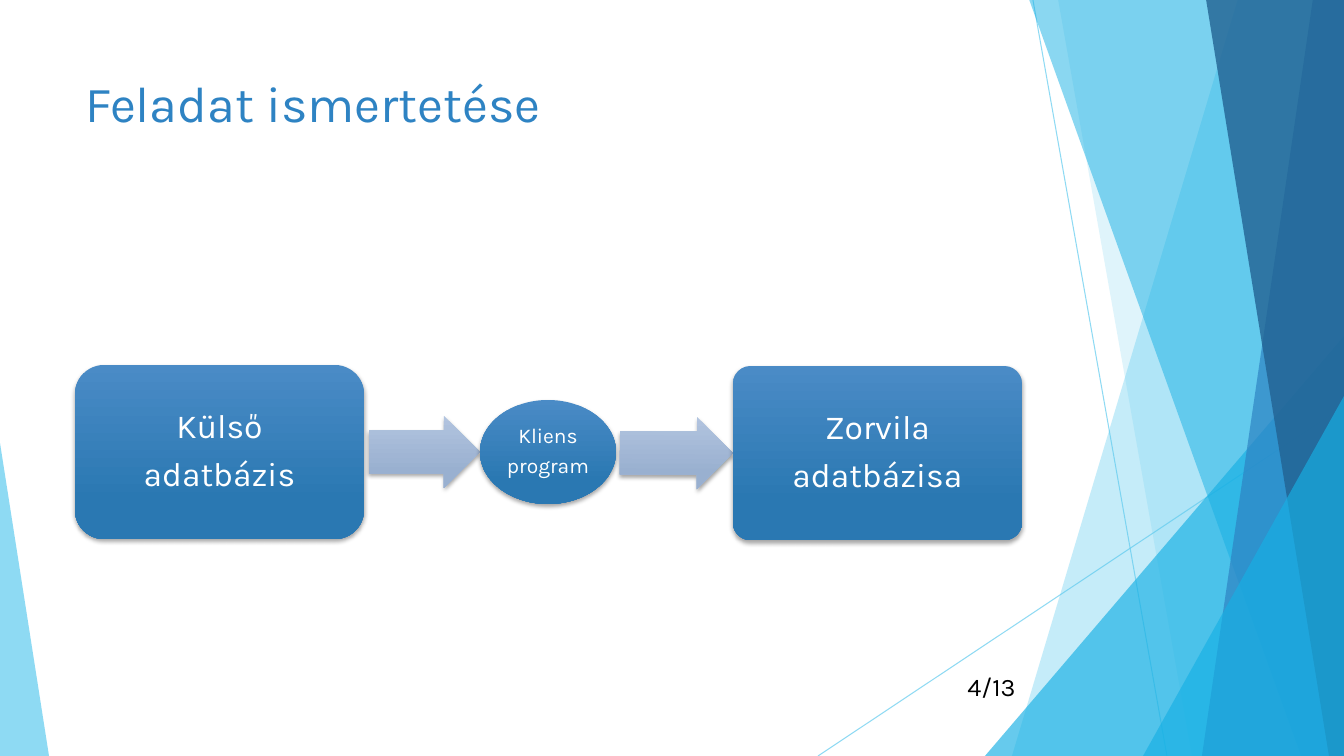
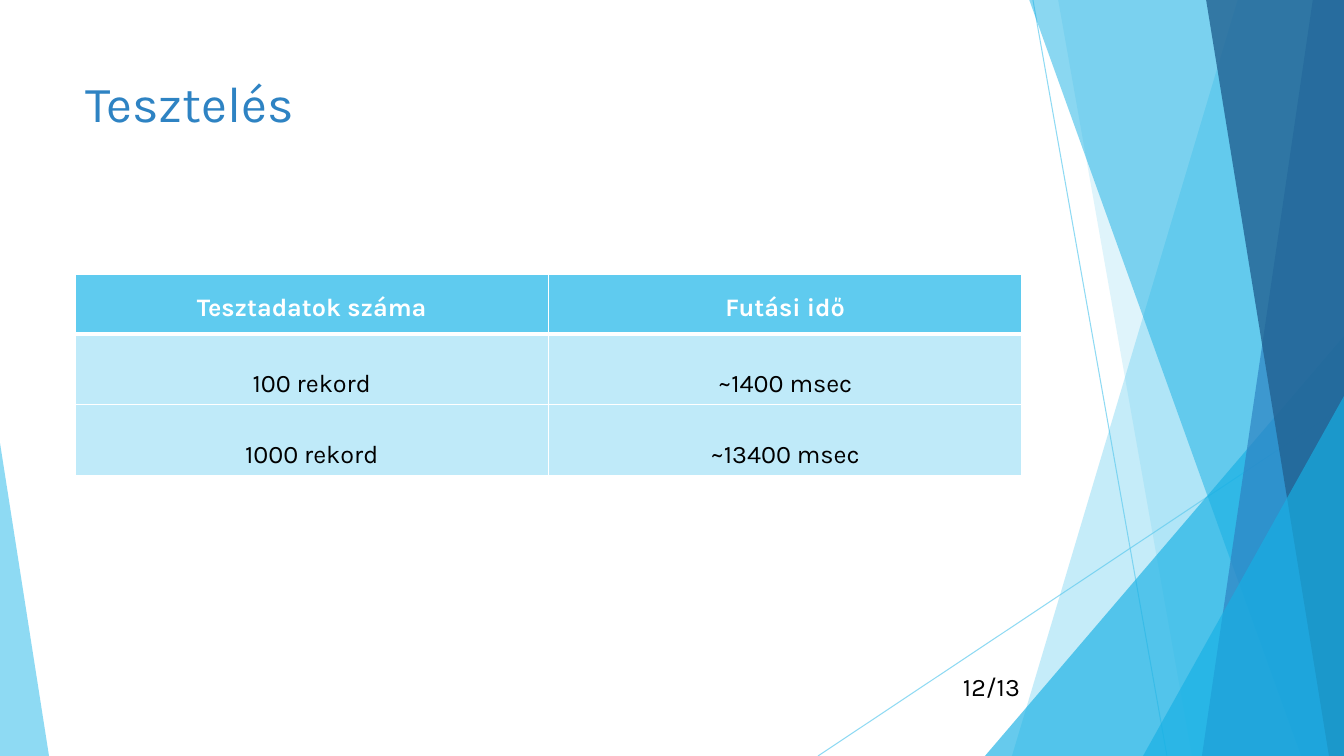
from dataclasses import dataclass

from lxml.etree import SubElement
from pptx import Presentation
from pptx.dml.color import RGBColor as Rgb
from pptx.enum.shapes import MSO_CONNECTOR as Connector, MSO_SHAPE as Preset
from pptx.enum.text import MSO_ANCHOR as Anchor, MSO_AUTO_SIZE as AutoSize, PP_ALIGN as Align
from pptx.oxml.ns import qn
from pptx.util import Emu, Pt

SCALE = 12192000 / 1344


def px(length):
    return Emu(round(length * SCALE))


@dataclass(frozen=True)
class Box:
    left: int
    top: int
    width: int
    height: int

    def inner(self, left, top, width, height):
        return Box(self.left + left, self.top + top, width, height)

    def emu(self):
        return [px(side) for side in (self.left, self.top, self.width, self.height)]


@dataclass(frozen=True)
class Theme:
    font: str = "Karla"
    white: str = "FFFFFF"
    black: str = "000000"
    sky: str = "5FCBEF"
    cyan: str = "17B0E4"
    blue: str = "2E83C3"
    navy: str = "226292"
    pale: str = "BFEAF9"
    node: tuple = ("4A8BC6", "2A78B2")
    arrow: tuple = ("B2C4DF", "99B0D0")
    title_size: int = 36
    node_size: int = 24
    text_size: int = 18
    small_size: int = 15


THEME = Theme()
PAGE = Box(0, 0, 1344, 756)
TITLE = Box(75, 67, 947, 145)
FLOW = Box(75, 365, 947, 175)
TABLE = Box(75, 274, 947, 196)
NUMBER = Box(947, 666, 89, 40)
PAGE_TOTAL = 13


def write(frame, lines, size, color, align=Align.CENTER, anchor=Anchor.MIDDLE,
          spacing=1.0, after=0, bold=False):
    frame.vertical_anchor = anchor
    for index, line in enumerate(lines):
        para = frame.add_paragraph() if index else frame.paragraphs[0]
        para.alignment = align
        para.line_spacing = spacing
        para.space_after = Pt(after)
        span = para.add_run()
        span.text = line
        span.font.name = THEME.font
        span.font.size = Pt(size)
        span.font.bold = bold
        span.font.color.rgb = Rgb.from_string(color)


def set_alpha(shape, percent):
    color = shape.element.spPr.find(".//" + qn("a:srgbClr"))
    SubElement(color, qn("a:alpha"), val=str(percent * 1000))


def paint_facet(shape, color, opacity):
    shape.shadow.inherit = False
    shape.line.fill.background()
    shape.fill.solid()
    shape.fill.fore_color.rgb = Rgb.from_string(color)
    set_alpha(shape, opacity)


def add_ray(group, box, start, end):
    ray = group.shapes.add_connector(
        Connector.STRAIGHT,
        px(box.left + start[0]), px(box.top + start[1]),
        px(box.left + end[0]), px(box.top + end[1]))
    ray.line.color.rgb = Rgb.from_string(THEME.sky)
    ray.line.width = Pt(0.75)
    set_alpha(ray, 70)
    SubElement(ray.element.spPr, qn("a:effectLst"))


def add_band(group, box, top_left, bottom_left, color, opacity):
    right, bottom = box.left + box.width, box.top + box.height
    outline = group.shapes.build_freeform(box.left + top_left, box.top - 1, scale=SCALE)
    outline.add_line_segments([
        (right, box.top - 1), (right, bottom), (box.left + bottom_left, bottom)])
    paint_facet(outline.convert_to_shape(), color, opacity)


def add_wedge(group, box, apex, color, opacity):
    wedge = group.shapes.add_shape(Preset.ISOSCELES_TRIANGLE, *box.emu())
    wedge.adjustments[0] = apex
    paint_facet(wedge, color, opacity)


def add_backdrop(page, box):
    group = page.shapes.add_group_shape()
    add_ray(group, box, (1033, 0), (1167, 756))
    add_ray(group, box, (1344, 406), (818, 756))
    add_band(group, box, 1238, 1012, THEME.sky, 36)
    add_band(group, box, 1058, 1192, THEME.sky, 20)
    add_wedge(group, box.inner(985, 336, 359, 420), 1, THEME.cyan, 66)
    add_band(group, box, 1029, 1301, THEME.cyan, 50)
    add_band(group, box, 1313, 1202, THEME.blue, 70)
    add_band(group, box, 1206, 1329, THEME.navy, 80)
    add_wedge(group, box.inner(1143, 396, 201, 360), 1, THEME.cyan, 66)
    add_wedge(group, box.inner(0, 443, 49, 313), 0, THEME.sky, 70)
    return group


def move_to_layout(group, layout):
    for number, label in enumerate(group.element.iter(qn("p:cNvPr")), 100):
        label.set("id", str(number))
    layout.shapes.element.insert(2, group.element)


def add_title(page, box, text):
    title = page.shapes.title
    title.left, title.top, title.width, title.height = box.emu()
    title.text_frame.auto_size = AutoSize.NONE
    write(title.text_frame, [text], THEME.title_size, THEME.blue, Align.LEFT, Anchor.TOP)


def add_page_number(page, box, number):
    frame = page.shapes.add_textbox(*box.emu()).text_frame
    frame.word_wrap = True
    write(frame, [f"{number}/{PAGE_TOTAL}"], THEME.text_size, THEME.black)


def add_glossy(page, box, preset, colors, adjustments=()):
    shape = page.shapes.add_shape(preset, *box.emu())
    for index, value in enumerate(adjustments):
        shape.adjustments[index] = value
    shape.line.fill.background()
    shape.fill.gradient()
    shape.fill.gradient_angle = 270
    for stop, color, position in zip(shape.fill.gradient_stops, colors, (0, 0.78)):
        stop.color.rgb = Rgb.from_string(color)
        stop.position = position
    shape.shadow.inherit = False
    effects = shape.element.spPr.find(qn("a:effectLst"))
    shadow = SubElement(effects, qn("a:outerShdw"), blurRad=str(Pt(3)), dist=str(Pt(2)),
                        dir="5400000", algn="ctr", rotWithShape="0")
    color = SubElement(shadow, qn("a:srgbClr"), val=THEME.black)
    SubElement(color, qn("a:alpha"), val="35000")
    return shape


def add_node(page, box, preset, lines, size, adjustments=()):
    node = add_glossy(page, box, preset, THEME.node, adjustments)
    node.text_frame.word_wrap = False
    write(node.text_frame, lines, size, THEME.white, spacing=0.9, after=size * 0.35)


def add_arrow(page, box, rotation=0):
    arrow = add_glossy(page, box, Preset.RIGHT_ARROW, THEME.arrow, (0.6, 0.5))
    arrow.rotation = rotation


def add_flow(page, box):
    add_node(page, box.inner(0, 0, 289, 174), Preset.ROUNDED_RECTANGLE,
             ["Külső", "adatbázis"], THEME.node_size)
    add_arrow(page, box.inner(294, 51, 111, 72))
    add_node(page, box.inner(405, 35, 136, 104), Preset.FLOWCHART_CONNECTOR,
             ["Kliens", "program"], THEME.small_size)
    add_arrow(page, box.inner(545, 52, 113, 72), 0.2)
    add_node(page, box.inner(658, 1, 289, 174), Preset.ROUNDED_RECTANGLE,
             ["Zorvila", "adatbázisa"], THEME.node_size, (0.1,))


def set_borders(cell, **widths):
    properties = cell._tc.get_or_add_tcPr()
    for index, (side, width) in enumerate(widths.items()):
        border = SubElement(properties, qn(f"a:ln{side}"), w=str(Pt(width)))
        fill = SubElement(border, qn("a:solidFill"))
        SubElement(fill, qn("a:srgbClr"), val=THEME.white)
        properties.insert(index, border)


def add_results(page, box, rows):
    table = page.shapes.add_table(len(rows), len(rows[0]), *box.emu()).table
    for column in table.columns:
        column.width = px(box.width / len(rows[0]))
    header_height = 60
    body_height = (box.height - header_height) / (len(rows) - 1)
    for row_index, row in enumerate(rows):
        header = row_index == 0
        table.rows[row_index].height = px(header_height if header else body_height)
        for column_index, text in enumerate(row):
            cell = table.cell(row_index, column_index)
            cell.fill.solid()
            cell.fill.fore_color.rgb = Rgb.from_string(THEME.sky if header else THEME.pale)
            set_borders(cell, L=1, R=1, T=3 if row_index == 1 else 1, B=3 if header else 1)
            anchor = Anchor.TOP if header else Anchor.MIDDLE
            write(cell.text_frame, [text], THEME.text_size,
                  THEME.white if header else THEME.black, anchor=anchor,
                  spacing=1.5 if header else 2.0, bold=header)
            cell.vertical_anchor = anchor


def add_page(deck, layout, title, number):
    page = deck.slides.add_slide(layout)
    add_title(page, TITLE, title)
    add_page_number(page, NUMBER, number)
    return page


def main():
    deck = Presentation()
    deck.slide_width, deck.slide_height = px(PAGE.width), px(PAGE.height)
    layout = deck.slide_layouts[5]

    task_page = add_page(deck, layout, "Feladat ismertetése", 4)
    move_to_layout(add_backdrop(task_page, PAGE), layout)
    add_flow(task_page, FLOW)

    test_page = add_page(deck, layout, "Tesztelés", 12)
    add_results(test_page, TABLE, [
        ("Tesztadatok száma", "Futási idő"),
        ("100 rekord", "~1400 msec"),
        ("1000 rekord", "~13400 msec"),
    ])
    deck.save("out.pptx")


if __name__ == "__main__":
    main()
